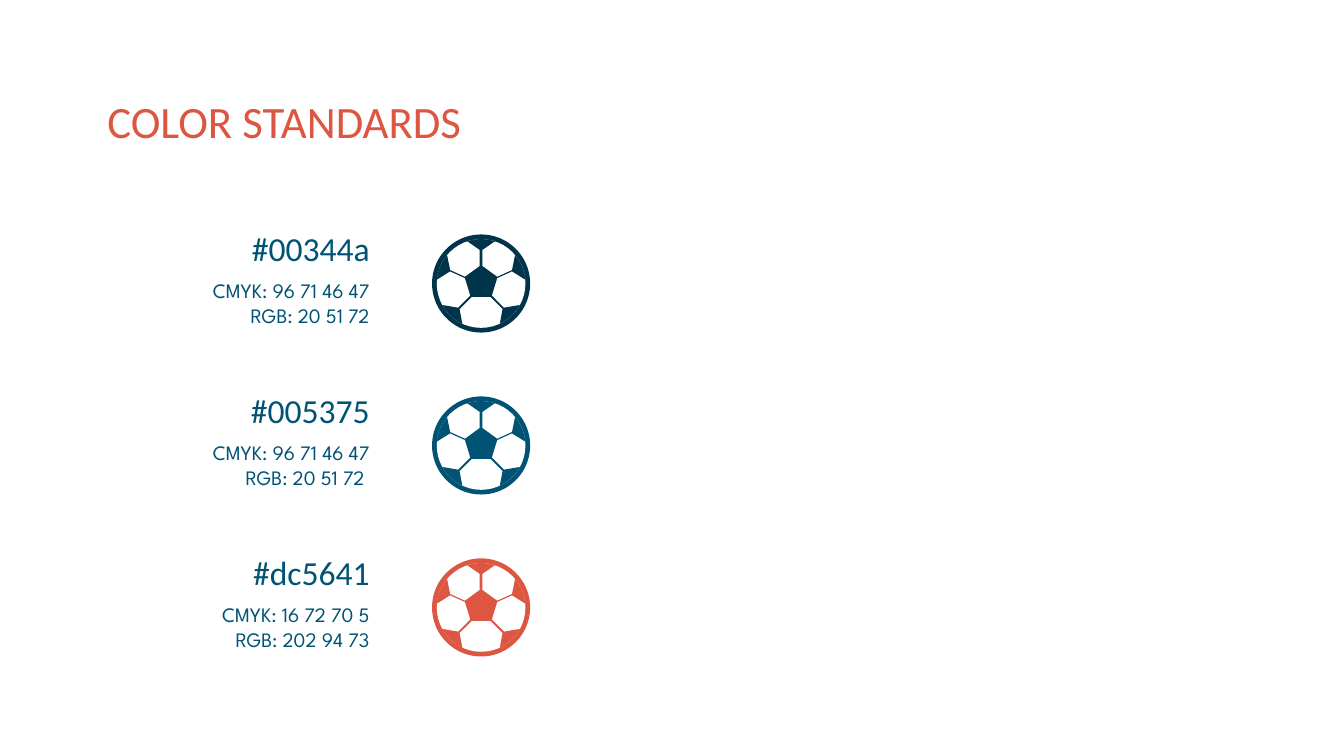
from dataclasses import dataclass
from math import cos, radians, sin

from pptx import Presentation
from pptx.dml.color import RGBColor
from pptx.enum.shapes import MSO_SHAPE
from pptx.enum.text import MSO_ANCHOR, PP_ALIGN
from pptx.util import Inches, Pt

OVAL = MSO_SHAPE.OVAL
MIDDLE = MSO_ANCHOR.MIDDLE
LEFT, RIGHT = PP_ALIGN.LEFT, PP_ALIGN.RIGHT


@dataclass(frozen=True)
class Theme:
    navy: str = "00344A"
    blue: str = "005375"
    coral: str = "DC5641"
    white: str = "FFFFFF"
    head_font: str = "Calibri"
    body_font: str = "League Spartan"
    title_size: int = 24
    code_size: int = 18
    detail_size: int = 11


THEME = Theme()

# A 16:9 slide, in inches
SLIDE_W = 10
SLIDE_H = SLIDE_W * 9 / 16

# Grid: one row per colour, text column then ball column
ROW_TOP, LAST_ROW_TOP = 1.63, 4.04
ROW_PITCH = (LAST_ROW_TOP - ROW_TOP) / 2
TEXT_LEFT, TEXT_W, LINE_H = 0.79, 2.06, 0.43
DETAIL_DROP = 0.41
BALL_X, BALL_DROP = 3.58, 0.48
BALL_R, PANEL_R = 0.73 / 2, 0.66 / 2

SWATCHES = [
    ("#00344a", ["CMYK: 96 71 46 47", "RGB: 20 51 72"], THEME.navy),
    ("#005375", ["CMYK: 96 71 46 47", "RGB: 20 51 72 "], THEME.blue),
    ("#dc5641", ["CMYK: 16 72 70 5", "RGB: 202 94 73"], THEME.coral),
]


def add_text(slide, lines, left, top, width, *, size, color,
             font=THEME.head_font, align=LEFT):
    box = slide.shapes.add_textbox(Inches(left), Inches(top),
                                   Inches(width), Inches(LINE_H))
    tf = box.text_frame
    tf.word_wrap = True
    tf.vertical_anchor = MIDDLE
    tf.margin_left = tf.margin_right = Inches(0.1)
    tf.margin_top = tf.margin_bottom = Inches(0.1)
    for i, line in enumerate(lines):
        p = tf.add_paragraph() if i else tf.paragraphs[0]
        p.alignment = align
        r = p.add_run()
        r.text = line
        r.font.size = Pt(size)
        r.font.name = font
        r.font.color.rgb = RGBColor.from_string(color)


def paint(sp, color):
    sp.shadow.inherit = False
    sp.fill.solid()
    sp.fill.fore_color.rgb = RGBColor.from_string(color)
    sp.line.fill.background()


def add_disc(shapes, x, y, radius, color):
    sp = shapes.add_shape(OVAL, Inches(x - radius), Inches(y - radius),
                          Inches(2 * radius), Inches(2 * radius))
    paint(sp, color)


def rim(start, end, steps=16):
    """Points on the panel circle, in degrees clockwise from the top."""
    angles = [radians(start + (end - start) * i / steps)
              for i in range(steps + 1)]
    return [(PANEL_R * sin(a), -PANEL_R * cos(a)) for a in angles]


def seam_outline():
    """Patches and seams: the right half, then its mirror."""
    half = [
        *rim(0, 18), (0.01, -0.25), (0.01, -0.13), (0.12, -0.05),
        (0.23, -0.1), *rim(50, 85), (0.23, -0.09), (0.12, -0.04),
        (0.08, 0.09), (0.17, 0.18), *rim(119, 155), (0.16, 0.19),
        (0.07, 0.1),
    ]
    return half + [(-x, y) for x, y in reversed(half)]


def add_ball(slide, x, y, color):
    shapes = slide.shapes.add_group_shape().shapes
    add_disc(shapes, x, y, BALL_R, color)
    add_disc(shapes, x, y, PANEL_R, THEME.white)
    points = [(Inches(x + dx), Inches(y + dy)) for dx, dy in seam_outline()]
    builder = shapes.build_freeform(*points[0])
    builder.add_line_segments(points[1:], close=True)
    paint(builder.convert_to_shape(), color)


def add_swatch(slide, row, code, details, color):
    top = ROW_TOP + row * ROW_PITCH
    add_text(slide, [code], TEXT_LEFT, top, TEXT_W, size=THEME.code_size,
             color=THEME.blue, align=RIGHT)
    add_text(slide, details, TEXT_LEFT, top + DETAIL_DROP, TEXT_W,
             size=THEME.detail_size, color=THEME.blue,
             font=THEME.body_font, align=RIGHT)
    add_ball(slide, BALL_X, top + BALL_DROP, color)


def main():
    prs = Presentation()
    prs.slide_width, prs.slide_height = Inches(SLIDE_W), Inches(SLIDE_H)
    slide = prs.slides.add_slide(prs.slide_layouts[6])

    # Title
    add_text(slide, ["COLOR STANDARDS"], 0.7, 0.68, 8.82,
             size=THEME.title_size, color=THEME.coral)

    # Colour rows
    for row, swatch in enumerate(SWATCHES):
        add_swatch(slide, row, *swatch)

    prs.save("out.pptx")


if __name__ == "__main__":
    main()
